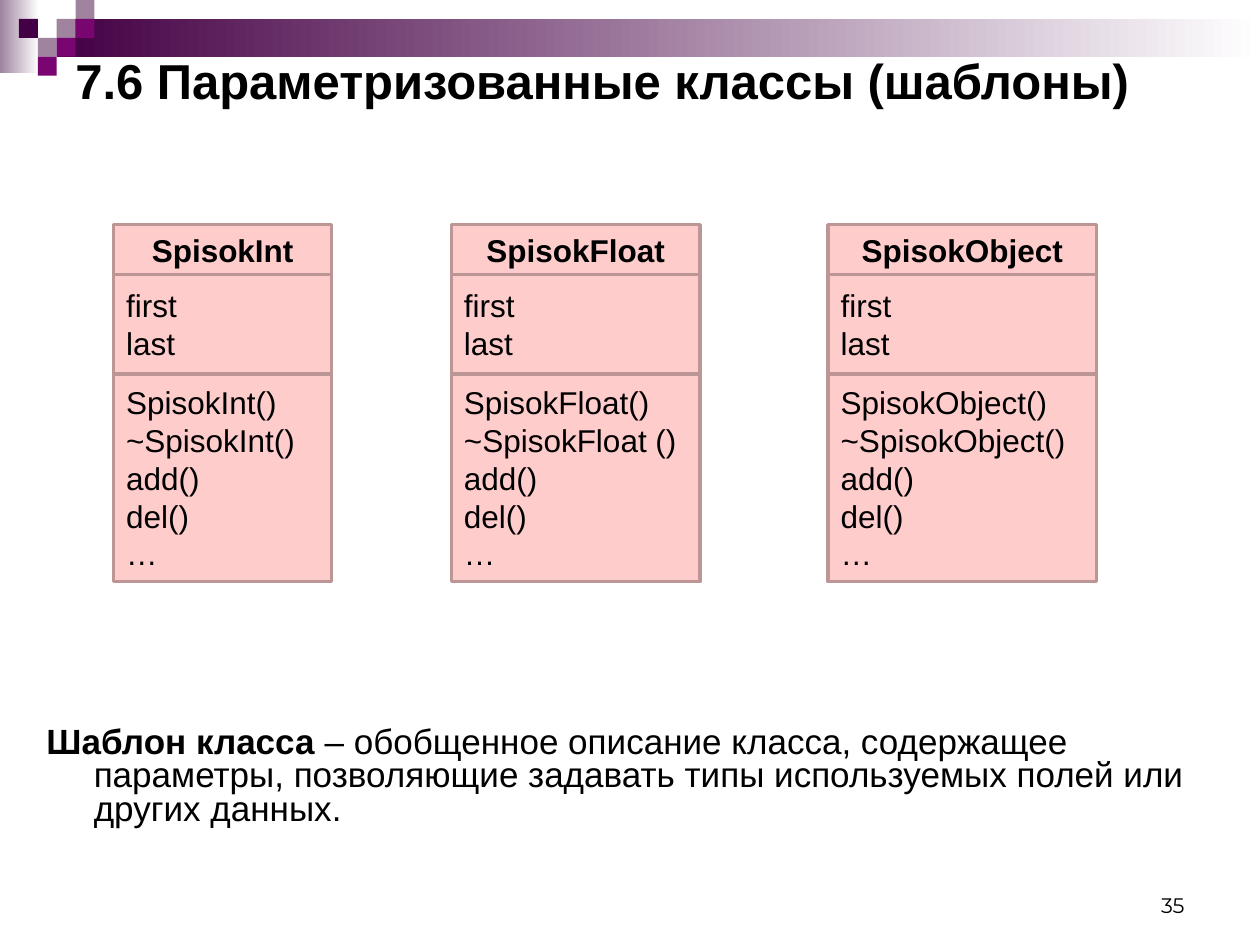
import pptx
import pptx.dml.color
import pptx.enum.shapes
import pptx.enum.text
import pptx.util

Pt = pptx.util.Pt
ALIGN = pptx.enum.text.PP_ALIGN
ANCHOR = pptx.enum.text.MSO_ANCHOR
COLORS = {
    "text": "000000", "white": "FFFFFF",
    "dark": "440044", "plum": "790571", "mauve": "9F839F",
    "class_fill": "FFCCCC", "class_line": "BC9595",
}


def rgb(name):
    return pptx.dml.color.RGBColor.from_string(COLORS[name])


class SlideBuilder:
    font = "Arial"

    def __init__(self, s):
        self.s = s

    def rect(self, x, y, w, h, fill, fade_to=None, line=None):
        sp = self.s.shapes.add_shape(
            pptx.enum.shapes.MSO_SHAPE.RECTANGLE, Pt(x), Pt(y), Pt(w), Pt(h))
        sp.shadow.inherit = False
        if fade_to:
            sp.fill.gradient()
            sp.fill.gradient_angle = 0
            for stop, color in zip(sp.fill.gradient_stops, (fill, fade_to)):
                stop.color.rgb = rgb(color)
        else:
            sp.fill.solid()
            sp.fill.fore_color.rgb = rgb(fill)
        if line:
            sp.line.color.rgb = rgb(line)
            sp.line.width = Pt(2)
        else:
            sp.line.fill.background()
        return sp

    def fill_text(self, sp, paragraphs, size, align=ALIGN.LEFT,
                  anchor=ANCHOR.MIDDLE, font=None):
        """Each paragraph is a list of (text, bold) runs."""
        tf = sp.text_frame
        tf.word_wrap = True
        tf.vertical_anchor = anchor
        for i, runs in enumerate(paragraphs):
            p = tf.add_paragraph() if i else tf.paragraphs[0]
            p.alignment = align
            for text, bold in runs:
                r = p.add_run()
                r.text = text
                r.font.name = font or self.font
                r.font.size = Pt(size)
                r.font.bold = bold
                r.font.color.rgb = rgb("text")
        return tf

    def text(self, x, y, w, h, runs, size, **style):
        sp = self.s.shapes.add_textbox(Pt(x), Pt(y), Pt(w), Pt(h))
        return self.fill_text(sp, [runs], size, **style)

    def uml_class(self, x, y, w, name, fields, methods):
        sections = [
            (28.4, [name], True, ALIGN.CENTER),
            (56.8, fields, False, ALIGN.LEFT),
            (118.8, methods, False, ALIGN.LEFT),
        ]
        for h, lines, bold, align in sections:
            sp = self.rect(x, y, w, h, "class_fill", line="class_line")
            self.fill_text(sp, [[(text, bold)] for text in lines], 18, align)
            y += h


def main():
    prs = pptx.Presentation()
    prs.slide_width, prs.slide_height = Pt(720), Pt(540)
    b = SlideBuilder(prs.slides.add_slide(prs.slide_layouts[6]))

    # Header bands and mosaic tiles
    b.rect(0, 0, 22.3, 41.8, "mauve", fade_to="white")
    b.rect(32.4, 10.8, 687.6, 21.6, "dark", fade_to="white")
    tile = 10.8
    for col, row, color in [
        (3, 1, "mauve"), (4, 0, "mauve"), (4, 1, "plum"), (2, 2, "mauve"),
        (1, 1, "dark"), (3, 2, "plum"), (2, 3, "plum"),
    ]:
        b.rect(col * tile, row * tile, tile, tile, color)

    # Page number, title and definition
    b.text(516, 492, 168, 36, [("35", False)], 12, align=ALIGN.RIGHT,
           anchor=ANCHOR.BOTTOM, font="Montserrat")
    b.text(36, 26, 648, 39.6,
           [("7.6 Параметризованные классы (шаблоны)", True)], 28)
    tf = b.text(19.5, 412, 700.5, 70.5, [
        ("Шаблон класса ", True),
        ("– обобщенное описание класса, содержащее параметры, позволяющие "
         "задавать типы используемых полей или других данных.", False),
    ], 20, anchor=ANCHOR.TOP)
    p = tf.paragraphs[0]
    p.line_spacing = 0.8
    pPr = p._p.get_or_add_pPr()
    pPr.set("marL", str(Pt(27)))
    pPr.set("indent", str(-Pt(27)))

    # List classes
    for x, w, name, destructor in [
        (65, 124.6, "SpisokInt", "~SpisokInt()"),
        (258, 142, "SpisokFloat", "~SpisokFloat ()"),
        (473.3, 153.3, "SpisokObject", "~SpisokObject()"),
    ]:
        b.uml_class(x, 128.4, w, name, ["first", "last"],
                    [f"{name}()", destructor, "add()", "del()", "…"])

    prs.save("out.pptx")


if __name__ == "__main__":
    main()
